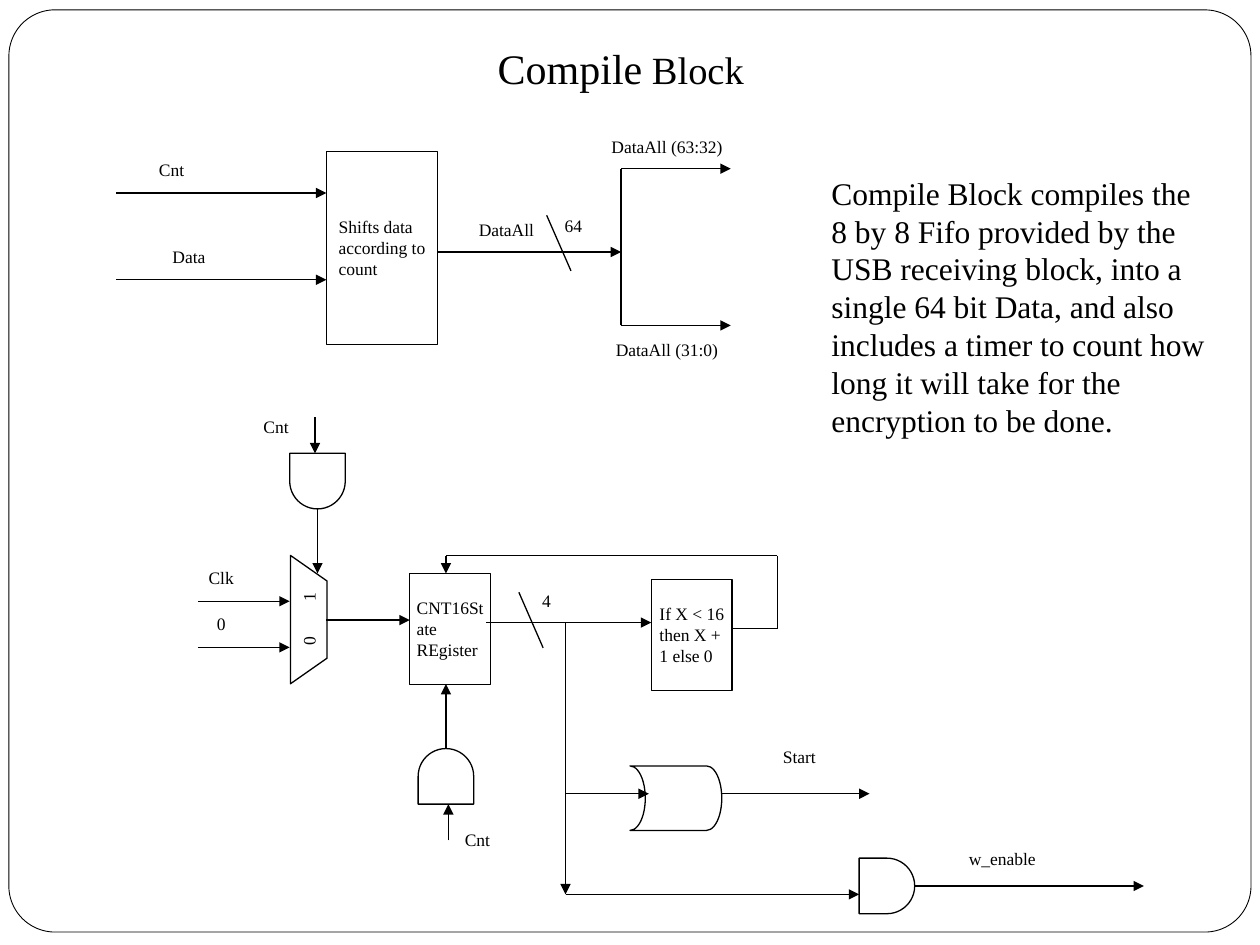
from dataclasses import dataclass

from lxml.etree import SubElement
from pptx import Presentation
from pptx.dml.color import RGBColor
from pptx.enum.shapes import MSO_CONNECTOR as Link, MSO_SHAPE as Preset
from pptx.enum.text import MSO_ANCHOR as Anchor, PP_ALIGN as Align
from pptx.oxml.ns import qn
from pptx.util import Cm, Pt


@dataclass(frozen=True)
class Theme:
    font: str = "Times New Roman"
    ink: RGBColor = RGBColor(0, 0, 0)
    paper: RGBColor = RGBColor(255, 255, 255)
    label: int = 10
    body: int = 18
    title: int = 24
    title_end: int = 22
    wire: float = 0.75
    frame: float = 0.5


TIGHT = {f"margin_{side}": Cm(0.1) for side in ("left", "right", "top", "bottom")}
MIDDLE = {"word_wrap": True, "vertical_anchor": Anchor.MIDDLE, **TIGHT}
GATE = 1.12


class Diagram:
    def __init__(self, slide, theme):
        self.slide = slide
        self.theme = theme

    def set_text(self, frame, runs, layout=MIDDLE, align=Align.LEFT, centre=True):
        """Fill a text frame; centre places the left-aligned block mid-box."""
        for name, value in layout.items():
            setattr(frame, name, value)
        if centre:
            frame._txBody.find(qn("a:bodyPr")).set("anchorCtr", "1")
        paragraph = frame.paragraphs[0]
        paragraph.alignment = align
        for words, size in runs:
            run = paragraph.add_run()
            run.text = words
            run.font.color.rgb = self.theme.ink
            for name, value in {"name": self.theme.font, "size": Pt(size)}.items():
                setattr(run.font, name, value)
        return paragraph

    def outline(self, preset, box, weight=None, turn=0):
        shape = self.slide.shapes.add_shape(preset, *map(Cm, box))
        shape.shadow.inherit = False
        shape.fill.background()
        shape.line.color.rgb = self.theme.ink
        shape.line.width = Pt(weight or self.theme.wire)
        shape.rotation = turn
        return shape

    def frame(self, box):
        border = self.outline(Preset.ROUNDED_RECTANGLE, box, self.theme.frame)
        border.adjustments[0] = 0.05
        border.fill.solid()
        border.fill.fore_color.rgb = self.theme.paper

    def block(self, words, box):
        shape = self.outline(Preset.RECTANGLE, box)
        self.set_text(shape.text_frame, [(words, self.theme.label)])

    def and_gate(self, left, top, turn=0):
        self.outline(Preset.FLOWCHART_DELAY, (left, top, GATE, GATE), turn=turn)

    def multiplexer(self, box):
        shape = self.outline(Preset.FLOWCHART_MANUAL_OPERATION, box, turn=270)
        inputs = self.set_text(shape.text_frame, [("0\t1", self.theme.label)],
                               {**MIDDLE, "margin_left": Cm(0.26)}, centre=False)
        stops = SubElement(inputs._p.get_or_add_pPr(), qn("a:tabLst"))
        SubElement(stops, qn("a:tab"), pos=str(Cm(0.89)), algn="l")

    def text(self, runs, box, **style):
        area = self.slide.shapes.add_textbox(*map(Cm, box))
        self.set_text(area.text_frame, runs, **style)

    def label(self, words, *box):
        self.text([(words, self.theme.label)], box)

    def wire(self, *ends, arrow=False):
        line = self.slide.shapes.add_connector(Link.STRAIGHT, *map(Cm, ends))
        line.line.color.rgb = self.theme.ink
        line.line.width = Pt(self.theme.wire)
        if arrow:
            SubElement(line.line._get_or_add_ln(), qn("a:tailEnd"), type="triangle")
        SubElement(line._element.spPr, qn("a:effectLst"))

    def arrow(self, *ends):
        self.wire(*ends, arrow=True)


def draw_shifter(diagram):
    shifter_left, shifter_right, split, out = 6.58, 8.81, 12.52, 14.73
    for y in (3.89, 5.64):
        diagram.arrow(2.34, y, shifter_left, y)
    diagram.block("Shifts data according to count", (shifter_left, 3.05, 2.24, 3.89))
    diagram.arrow(shifter_right, 5.08, split, 5.08)
    diagram.wire(11.02, 4.34, 11.51, 5.46)
    high, low = 3.4, 6.56
    diagram.wire(split, low, split, high)
    for half, y, label_top in (("63:32", high, 2.67), ("31:0", low, 6.76)):
        diagram.arrow(split, y, out, y)
        diagram.label(f"DataAll ({half})", 11.96, label_top, 2.97, 0.56)
    diagram.label("Cnt", 2.9, 3.05, 1.12, 0.74)
    diagram.label("Data", 2.69, 4.9, 2.24, 0.56)
    diagram.label("DataAll", 9.37, 4.34, 1.68, 0.56)
    diagram.label("64", 11.18, 4.17, 0.76, 0.74)


def draw_counter(diagram):
    # Clock selection
    diagram.label("Cnt", 5.11, 8.23, 0.91, 0.74)
    diagram.arrow(6.35, 8.41, 6.35, 9.14)
    diagram.and_gate(5.84, 9.14, turn=90)
    diagram.arrow(6.4, 10.26, 6.4, 11.56)
    for source, y in (("Clk", 12.12), ("0", 13.05)):
        diagram.arrow(3.99, y, 5.84, y)
        diagram.label(source, 3.81, y - 0.75, 1.3, 0.56)
    diagram.multiplexer((4.93, 12.12, 2.59, 0.74))
    diagram.arrow(6.58, 12.5, 8.26, 12.5)

    # State register and its reset
    register = 8.99
    diagram.block("CNT16State REgister", (8.26, 11.56, 1.63, 2.24))
    diagram.arrow(register, 15.09, register, 13.79)
    diagram.and_gate(8.43, 15.09, turn=270)
    diagram.arrow(9.04, 16.94, 9.04, 16.21)
    diagram.label("Cnt", 9.17, 16.56, 0.91, 0.74)

    # Next-state feedback
    diagram.arrow(9.8, 12.55, 13.13, 12.55)
    diagram.wire(10.46, 11.94, 10.95, 13.06)
    diagram.label("4", 10.64, 11.73, 0.76, 0.74)
    diagram.block("If X < 16 then X + 1 else 0", (13.13, 11.68, 1.63, 2.24))
    loop_right, loop_top = 15.67, 11.2
    diagram.wire(14.75, 12.67, loop_right, 12.67)
    diagram.wire(loop_right, 12.67, loop_right, loop_top)
    diagram.wire(loop_right, loop_top, register, loop_top)
    diagram.arrow(register, loop_top, register, 11.56)


def draw_outputs(diagram):
    bus, bottom = 11.4, 18.03
    diagram.arrow(bus, 12.55, bus, bottom)
    diagram.arrow(bus, 16, 13.08, 16)
    diagram.outline(Preset.FLOWCHART_STORED_DATA, (12.7, 15.44, 1.85, 1.3), turn=180)
    diagram.arrow(14.55, 16, 17.53, 16)
    diagram.label("Start", 14.73, 14.88, 2.77, 0.74)
    diagram.arrow(bus, bottom, 17.32, bottom)
    diagram.and_gate(17.32, 17.3)
    diagram.arrow(18.44, 17.86, 23.06, 17.86)
    diagram.label("w_enable", 18.82, 16.94, 2.77, 0.74)


def main():
    deck = Presentation()
    deck.slide_width, deck.slide_height = Cm(25.4), Cm(19.05)
    theme = Theme()
    diagram = Diagram(deck.slides.add_slide(deck.slide_layouts[6]), theme)
    diagram.frame((0.18, 0.2, 25.04, 18.59))
    draw_shifter(diagram)
    draw_counter(diagram)
    draw_outputs(diagram)
    diagram.text([("Compile", theme.title), (" Block", theme.title_end)],
                 (7.7, 0.64, 9.63, 1.47), align=Align.CENTER, centre=False)
    summary = ("Compile Block compiles the 8 by 8 Fifo provided by the USB receiving "
               "block, into a single 64 bit Data, and also includes a timer to count "
               "how long it will take for the encryption to be done.")
    diagram.text([(summary, theme.body)], (16.51, 3.38, 8.05, 5.64),
                 layout={"word_wrap": True}, centre=False)
    deck.save("out.pptx")


if __name__ == "__main__":
    main()
